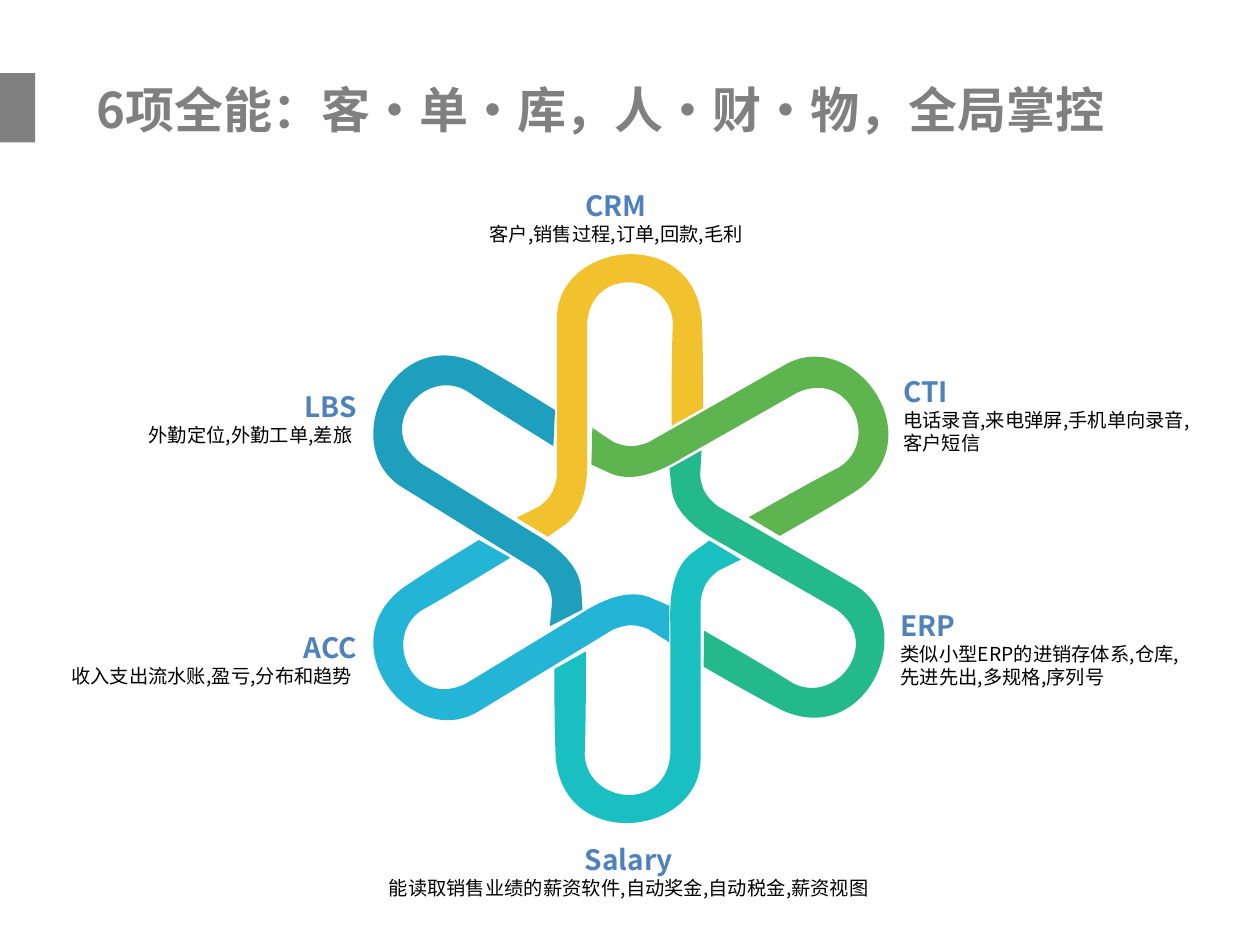
from lxml import etree
from pptx import Presentation
from pptx.dml.color import RGBColor
from pptx.enum.shapes import MSO_SHAPE
from pptx.enum.text import MSO_ANCHOR, MSO_AUTO_SIZE, PP_ALIGN
from pptx.oxml.ns import qn
from pptx.util import Inches, Pt

RECTANGLE = MSO_SHAPE.RECTANGLE
TOP, MIDDLE = MSO_ANCHOR.TOP, MSO_ANCHOR.MIDDLE
GROW = MSO_AUTO_SIZE.SHAPE_TO_FIT_TEXT
LEFT, CENTER, RIGHT = PP_ALIGN.LEFT, PP_ALIGN.CENTER, PP_ALIGN.RIGHT

# The page is a grid of 100 columns and 75 rows with square cells
COLUMNS, ROWS, CELL = 100, 75, 0.1
FONT = "Noto Sans CJK SC"
COLORS = {
    "title": "808080", "heading": "4F81BD", "body": "000000",
    "yellow": "F2C12E", "green": "5EB44F", "emerald": "23B98B",
    "turquoise": "1ABFC1", "sky": "24B4D6", "ocean": "1D9FBD",
}

# Petal outline in cells from its own corner: one point is a line,
# three points are a Bezier curve
PETAL_SIZE = (14.8, 22.4)
PETAL_START = (0, 20.9)
PETAL_STEPS = [
    [(1.8, 20)],
    [(2.7, 19.3), (3, 18.8), (3.2, 17.6)],
    [(3.2, 5.2)],
    [(3.1, -1.1), (14.1, -2.4), (14.7, 5.2)],
    [(14.8, 7.5), (14.8, 9.9), (14.8, 12.2)],
    [(12.3, 13.6)],
    [(12.3, 10.8), (12.3, 8.1), (12.4, 5.4)],
    [(12.2, 1.5), (6, 0.8), (5.6, 5.4)],
    [(5.6, 15.8)],
    [(5.7, 18.2), (5.3, 20.3), (3.9, 21.4)],
    [(2.5, 22.4)],
]

# Colour, left and top before turning, clockwise turn
PETALS = [
    ("yellow", 41, 20.2, 0), ("green", 51.7, 24.4, 60.4),
    ("emerald", 53, 35.8, 119.9), ("turquoise", 44, 42.9, 180),
    ("sky", 33.6, 38.5, 238.7), ("ocean", 31.9, 27.1, 301.8),
]

# Left, top, width, height in cells, alignment, heading, body
CAPTIONS = [
    (70.7, 29.2, 25, 7.4, LEFT, "CTI", "电话录音,来电弹屏,手机单向录音,客户短信"),
    (70.5, 47.8, 25, 7.4, LEFT, "ERP",
     "类似小型ERP的进销存体系,仓库,先进先出,多规格,序列号"),
    (4.3, 30.4, 25, 5.6, RIGHT, "LBS", "外勤定位,外勤工单,差旅 "),
    (4.3, 49.5, 25, 5.6, RIGHT, "ACC", "收入支出流水账,盈亏,分布和趋势 "),
    (28.3, 14.4, 41.2, 5.6, CENTER, "CRM", "客户,销售过程,订单,回款,毛利"),
    (29.3, 66.3, 41.2, 5.6, CENTER, "Salary",
     "能读取销售业绩的薪资软件,自动奖金,自动税金,薪资视图"),
]


def cells(*counts):
    return [Inches(count * CELL) for count in counts]


def paint(shape, color):
    shape.fill.solid()
    shape.fill.fore_color.rgb = RGBColor.from_string(COLORS[color])
    shape.line.fill.background()
    shape.shadow.inherit = False


def write(para, text, size, color, bold, align=LEFT):
    para.text = text
    para.alignment = align
    for span in para.runs:
        span.font.size, span.font.bold = Pt(size), bold
        span.font.color.rgb = RGBColor.from_string(COLORS[color])
        span.font.name = FONT
        # East Asian characters need their own font element
        east_asian = etree.Element(qn("a:ea"), typeface=FONT)
        span.font._element.find(qn("a:latin")).addnext(east_asian)


def add_box(page, place, anchor):
    frame = page.shapes.add_textbox(*cells(*place)).text_frame
    frame.word_wrap = True
    frame.auto_size = GROW
    frame.vertical_anchor = anchor
    return frame


def add_caption(page, left, top, width, height, align, heading, body):
    frame = add_box(page, (left, top, width, height), MIDDLE)
    write(frame.paragraphs[0], heading, 16, "heading", True, align)
    write(frame.add_paragraph(), body, 11, "body", False, align)


def add_command(outline, name, points=()):
    command = etree.SubElement(outline, qn(name))
    for point in points:
        x, y = cells(*point)
        etree.SubElement(command, qn("a:pt"), x=str(x), y=str(y))


def add_petal(page, color, left, top, turn):
    # A frame of the petal's size, whose outline is then drawn with curves
    width, height = cells(*PETAL_SIZE)
    builder = page.shapes.build_freeform(0, 0)
    builder.add_line_segments([(width, 0), (width, height), (0, height)])
    petal = builder.convert_to_shape(*cells(left, top))
    outline = next(petal._element.iter(qn("a:path")))
    for command in list(outline):
        outline.remove(command)
    add_command(outline, "a:moveTo", [PETAL_START])
    for points in PETAL_STEPS:
        name = "a:lnTo" if len(points) == 1 else "a:cubicBezTo"
        add_command(outline, name, points)
    add_command(outline, "a:close")
    paint(petal, color)
    petal.rotation = turn


def main():
    deck = Presentation()
    deck.slide_width, deck.slide_height = cells(COLUMNS, ROWS)
    page = deck.slides.add_slide(deck.slide_layouts[6])

    # Title with its side mark
    title = add_box(page, (6.7, 5.8, 86.6, 5.7), TOP)
    write(title.paragraphs[0], "6项全能：客·单·库，人·财·物，全局掌控",
          28, "title", True)
    mark = page.shapes.add_shape(RECTANGLE, *cells(0, 5.8, 2.8, 5.5))
    paint(mark, "title")

    # Star of six interlaced petals
    for petal in PETALS:
        add_petal(page, *petal)

    # Captions around the star
    for caption in CAPTIONS:
        add_caption(page, *caption)

    deck.save("out.pptx")


if __name__ == "__main__":
    main()
